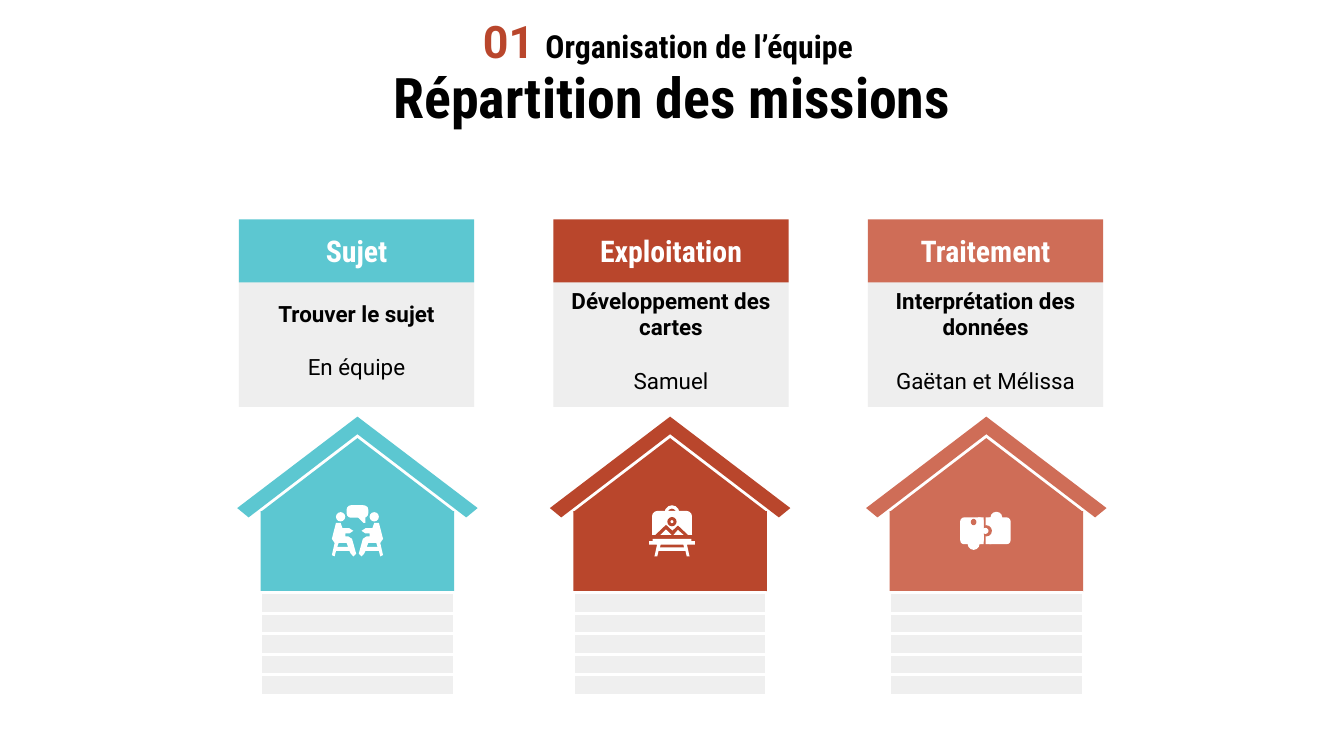
from pptx import Presentation
from pptx.dml.color import RGBColor
from pptx.enum.shapes import MSO_SHAPE
from pptx.enum.text import MSO_ANCHOR, MSO_AUTO_SIZE, PP_ALIGN
from pptx.util import Pt

RECT, ROUND_RECT = MSO_SHAPE.RECTANGLE, MSO_SHAPE.ROUNDED_RECTANGLE
ROUND_TOP, TRIANGLE = MSO_SHAPE.ROUND_2_SAME_RECTANGLE, MSO_SHAPE.ISOSCELES_TRIANGLE
OVAL, DONUT = MSO_SHAPE.OVAL, MSO_SHAPE.DONUT
CENTER, MIDDLE = PP_ALIGN.CENTER, MSO_ANCHOR.MIDDLE

COLORS = {"teal": "5CC7D1", "brick": "B9462C", "coral": "CF6D57",
          "panel": "EEEEEE", "stripe": "EFEFEF", "white": "FFFFFF", "black": "000000"}
HEAD_FONT, BODY_FONT = "Roboto Condensed", "Roboto"
CARD_LEFT, CARD_STEP, CARD_WIDTH = 128, 168.5, 126
HOUSE_WIDTH, STRIPE_HEIGHT, ICON_Y = 103.7, 11, 284.4

ROOF = [(0, 223.2), (-64.4, 272.2), (-58.3, 277.2), (0, 232.6), (58.3, 277.2), (64.4, 272.2)]
SITTER = [(-11.5, -4.3), (-9, -4.3), (-8, -1.4), (-4.3, -1.4), (-2.2, 0), (-4.3, 1.4),
          (-6.5, 1.4), (-6.5, 2.9), (-5, 2.9), (-2.9, 4.3), (-0.7, 12.2), (-2.2, 13.7),
          (-3.6, 12.2), (-4.3, 10.8), (-11.5, 10.8), (-12.2, 13.7), (-13.7, 13),
          (-12.2, 6.5), (-13.7, 4.3)]
STOOL_GAP = [(-5.8, 6.5), (-5, 8.6), (-10.8, 8.6), (-10.1, 6.5)]
STAND_HALF = [(10.4, 4.3), (10.4, 5.6), (12.2, 5.6), (12.2, 7.4), (8, 7.4),
              (9.4, 13.7), (7.9, 13.7), (7.2, 10.8)]
STAND_GAP = [(-6.1, 7.4), (6.1, 7.4), (6.5, 8.9), (-6.5, 8.9)]
RIDGE = [(-9, 2.3), (-3.2, -3.2), (0.2, 0), (3.2, -2.8), (8.6, 2.3)]
PEAKS = [[(-6.2, 2.2), (-3.2, -0.7), (-0.2, 2.2)], [(0.8, 2.2), (3.2, -0.5), (6.2, 2.2)]]


def paint(shape, color):
    """Give a shape a flat fill without line or shadow."""
    shape.shadow.inherit = False
    shape.fill.solid()
    shape.fill.fore_color.rgb = RGBColor.from_string(COLORS[color])
    shape.line.fill.background()
    return shape


def add_block(page, kind, left, top, width, height, color):
    """Add a painted preset shape."""
    return paint(page.shapes.add_shape(kind, Pt(left), Pt(top), Pt(width), Pt(height)), color)


def add_outline(page, x, y, contours, color):
    """Add a painted freeform whose contours are relative to x, y."""
    builder = None
    for contour in contours:
        points = [(Pt(x + dx), Pt(y + dy)) for dx, dy in contour]
        if builder is None:
            builder = page.shapes.build_freeform(*points[0], scale=1.0)
        else:
            builder.move_to(*points[0])
        builder.add_line_segments(points[1:], close=True)
    return paint(builder.convert_to_shape(), color)


def set_frame(box):
    """Set the shared insets, wrapping and anchor of a text frame."""
    frame = box.text_frame
    frame.word_wrap, frame.auto_size = True, MSO_AUTO_SIZE.NONE
    frame.vertical_anchor = MIDDLE
    frame.margin_left = frame.margin_right = Pt(7.2)
    frame.margin_top = frame.margin_bottom = Pt(7.2)
    return frame


def style_span(span, font, size, color, bold=True):
    """Format one run."""
    span.font.name, span.font.size, span.font.bold = font, Pt(size), bold
    span.font.color.rgb = RGBColor.from_string(COLORS[color])


def set_text(box, text, styles):
    """Fill a box with centred paragraphs, one style for each."""
    frame = set_frame(box)
    frame.text = text
    for para, style in zip(frame.paragraphs, styles):
        para.alignment = CENTER
        style_span(para.runs[0], *style)
    return frame


def add_headings(page):
    """Place the slide title and the numbered section line."""
    title = page.shapes.title
    title.left, title.top, title.width, title.height = Pt(36), Pt(32.4), Pt(648), Pt(38.2)
    set_text(title, "Répartition des missions", [(HEAD_FONT, 30, "black")])
    section = page.shapes.add_textbox(Pt(14.4), Pt(2.9), Pt(687), Pt(38.2))
    para = set_frame(section).paragraphs[0]
    para.alignment = CENTER
    for text, style in (("01 ", (BODY_FONT, 24, "brick")),
                        ("Organisation de l’équipe", (HEAD_FONT, 17, "black"))):
        span = para.add_run()
        span.text = text
        style_span(span, *style)


def add_card(page, left, heading, task, people, color):
    """Add a card with a coloured header, a task and its owners."""
    add_block(page, ROUND_TOP, left, 118, CARD_WIDTH, 100, "panel")
    header = add_block(page, RECT, left, 117.5, CARD_WIDTH, 33.8, color)
    set_text(header, heading, [(HEAD_FONT, 16, "white")])
    box = page.shapes.add_textbox(Pt(left), Pt(161.3), Pt(CARD_WIDTH), Pt(41.8))
    frame = set_text(box, f"{task}\n{people}", [(BODY_FONT, 12, "black"),
                                                (BODY_FONT, 12, "black", False)])
    frame.paragraphs[1].space_before = Pt(14)


def add_house(page, x, color):
    """Add a house centred on x, standing on five stripes."""
    left = x - HOUSE_WIDTH / 2
    add_outline(page, x, 0, [ROOF], color)
    add_block(page, TRIANGLE, left, 234.7, HOUSE_WIDTH, 39.6, color)
    add_block(page, RECT, left, 273.8, HOUSE_WIDTH, 43.7, color)
    for row in reversed(range(5)):
        stripe = add_block(page, RECT, left, 317.5 + row * STRIPE_HEIGHT,
                           HOUSE_WIDTH, STRIPE_HEIGHT, "stripe")
        stripe.line.color.rgb = RGBColor.from_string(COLORS["white"])
        stripe.line.width = Pt(1.5)


def add_meeting_icon(page, x, y, color):
    """Draw two seated people under a speech bubble."""
    for side in (1, -1):
        contours = [[(side * dx, dy) for dx, dy in part] for part in (SITTER, STOOL_GAP)]
        add_outline(page, x, y, contours, "white")
        add_block(page, OVAL, x - side * 9 - 2.5, y - 10, 5, 5, "white")
    add_block(page, ROUND_RECT, x - 5.8, y - 13.7, 11.6, 6.7, "white").adjustments[0] = 0.35
    add_outline(page, x, y, [[(0, -7.5), (3.2, -4.3), (4.3, -4.3), (4.3, -7.5)]], "white")


def add_easel_icon(page, x, y, color):
    """Draw a framed landscape on an easel."""
    x += 1
    add_block(page, DONUT, x - 4, y - 13.7, 8, 8, "white").adjustments[0] = 0.22
    add_block(page, ROUND_TOP, x - 10.7, y - 10.7, 21.4, 12.9, "white").adjustments[0] = 0.22
    add_block(page, OVAL, x - 2.5, y - 7.4, 5, 5, color)
    add_block(page, OVAL, x - 0.8, y - 5.7, 1.6, 1.6, "white")
    add_outline(page, x, y, [RIDGE], color)
    for peak in PEAKS:
        add_outline(page, x, y, [peak], "white")
    mirrored = [(-dx, dy) for dx, dy in reversed(STAND_HALF)]
    add_outline(page, x, y, [STAND_HALF + mirrored, STAND_GAP], "white")


def add_puzzle_icon(page, x, y, color):
    """Draw two joined puzzle pieces."""
    add_block(page, ROUND_RECT, x, y - 7.2, 13, 14.4, "white")
    add_block(page, OVAL, x + 2.2, y - 10.2, 6.4, 6.4, "white")
    add_block(page, RECT, x - 0.3, y - 7.2, 3, 14.4, "white")
    add_block(page, OVAL, x - 3, y - 3, 6, 6, color)
    add_block(page, ROUND_RECT, x - 14, y - 7.2, 12.6, 14.4, "white")
    add_block(page, RECT, x - 4.4, y - 7.2, 3, 14.4, "white")
    add_block(page, OVAL, x - 10, y + 3.8, 6.4, 6.4, "white")
    add_block(page, OVAL, x - 8.3, y - 6.4, 3, 3.4, color)
    add_block(page, OVAL, x - 2.2, y - 1.6, 3.4, 3.2, "white")


def main():
    """Build and save the deck."""
    deck = Presentation()
    deck.slide_width, deck.slide_height = Pt(720), Pt(405)
    page = deck.slides.add_slide(deck.slide_layouts[5])
    add_headings(page)
    missions = [
        ("Sujet", "Trouver le sujet", "En équipe", "teal", 191.5, add_meeting_icon),
        ("Exploitation", "Développement des cartes", "Samuel", "brick", 359, add_easel_icon),
        ("Traitement", "Interprétation des données", "Gaëtan et Mélissa", "coral", 528.4,
         add_puzzle_icon),
    ]
    for index, (heading, task, people, color, x, add_icon) in enumerate(missions):
        add_card(page, CARD_LEFT + index * CARD_STEP, heading, task, people, color)
        add_house(page, x, color)
        add_icon(page, x, ICON_Y, color)
    deck.save("out.pptx")


if __name__ == "__main__":
    main()
